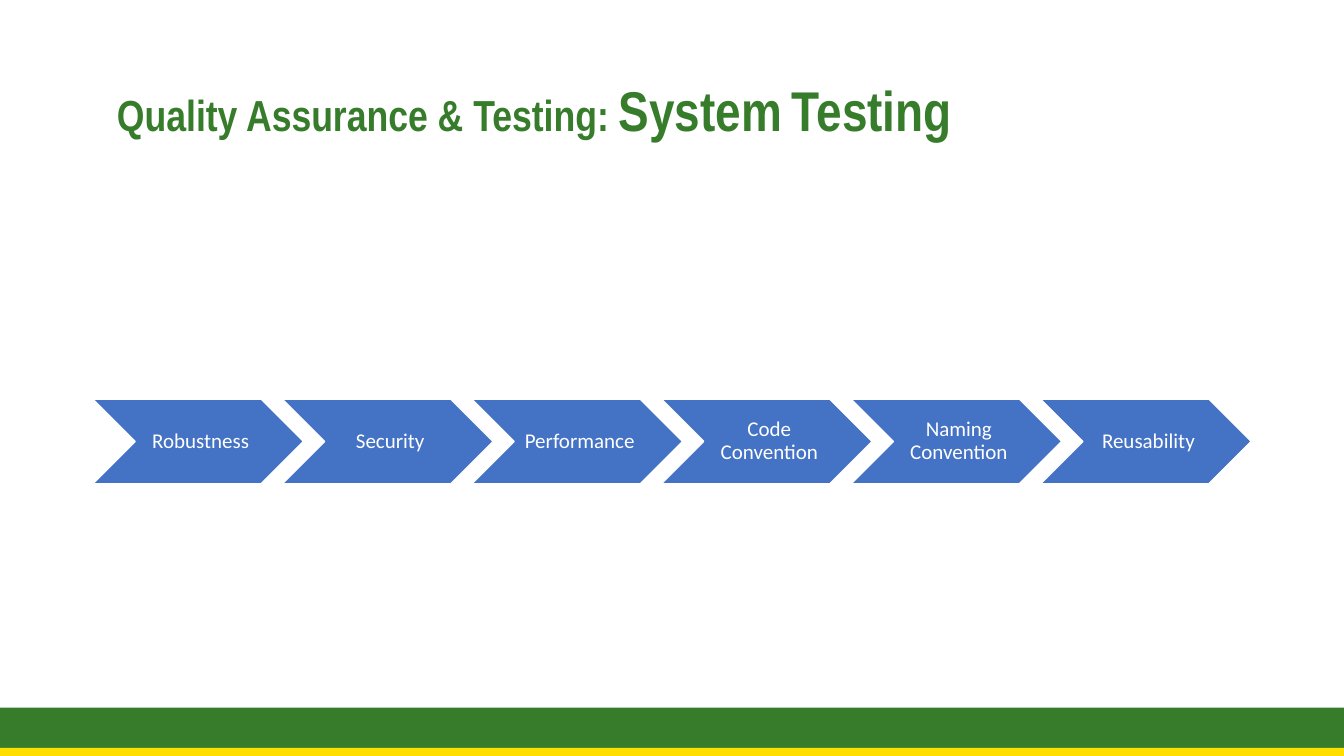
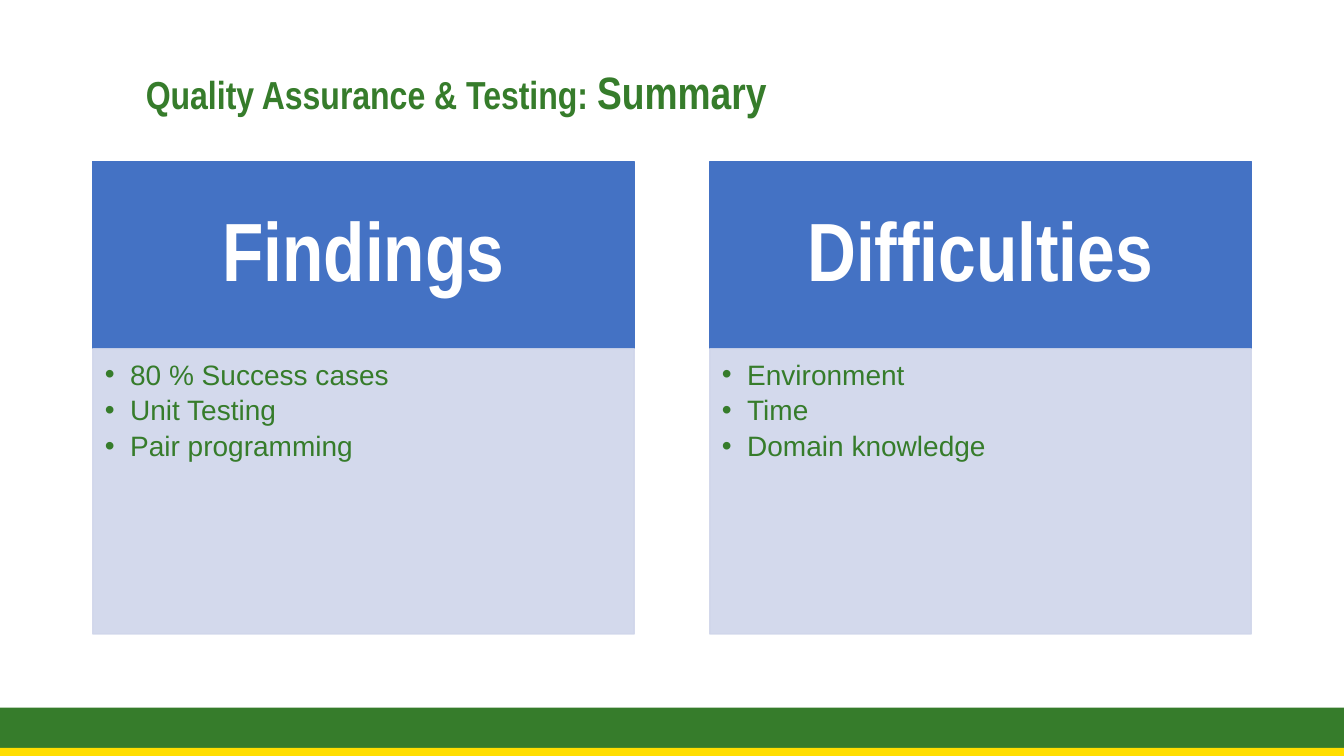
"""Build two quality assurance slides: system testing steps and a summary."""
import pptx
import pptx.dml.color
import pptx.enum.shapes
import pptx.enum.text
import pptx.oxml.xmlchemy
import pptx.util
from lxml import etree
from pptx.util import Inches, Pt

GREEN = pptx.dml.color.RGBColor(0x36, 0x7C, 0x2B)
YELLOW = pptx.dml.color.RGBColor(0xFF, 0xDE, 0x00)
BLUE = pptx.dml.color.RGBColor(0x44, 0x72, 0xC4)
PALE_BLUE = pptx.dml.color.RGBColor(0xCF, 0xD5, 0xEA)
WHITE = pptx.dml.color.RGBColor(0xFF, 0xFF, 0xFF)

MSO_SHAPE = pptx.enum.shapes.MSO_SHAPE
PP_ALIGN = pptx.enum.text.PP_ALIGN
MSO_ANCHOR = pptx.enum.text.MSO_ANCHOR
qn = pptx.oxml.ns.qn

SLIDE_WIDTH = 13.33
LEFT = 0.92
BANDS = [(7.02, 0.4, GREEN), (7.42, 0.08, YELLOW)]
STEPS = ["Robustness", "Security", "Performance", "Code Convention",
         "Naming Convention", "Reusability"]
STEP_PITCH = 1.88
COLUMNS = [
    ("Findings", ["80 % Success cases", "Unit Testing", "Pair programming"]),
    ("Difficulties", ["Environment", "Time", "Domain knowledge"]),
]
COLUMN_PITCH = 6.12
TITLES = [
    ("Title Only", (LEFT, 0.4, 11.5, 1.45), 0.24, PP_ALIGN.LEFT,
     [("Quality Assurance & Testing: ", 31), ("System", 40), (" ", 31), ("Testing", 40)]),
    ("Comparison", (LEFT, 0.49, 7.21, 0.91), 0.1, PP_ALIGN.CENTER,
     [("Quality Assurance & Testing: ", 27.9), ("Summary", 32.4)]),
]


def place(shape, box, margins, anchor):
    """Set the position, insets and anchor of a shape."""
    shape.left, shape.top, shape.width, shape.height = map(Inches, box)
    frame = shape.text_frame
    frame.word_wrap = True
    frame.auto_size = pptx.enum.text.MSO_AUTO_SIZE.NONE
    frame.vertical_anchor = anchor
    frame.margin_left, frame.margin_top, frame.margin_right, frame.margin_bottom = map(Inches, margins)


def style(paragraph, font_name, size, color, bold, alignment):
    """Set the spacing, alignment and font of a paragraph."""
    paragraph.alignment = alignment
    paragraph.line_spacing = 0.9
    paragraph.space_before = Pt(0)
    font = paragraph.font
    font.name, font.bold = font_name, bold
    font.color.rgb = color
    if size:
        font.size = Pt(size)


presentation = pptx.Presentation()
presentation.slide_width = Inches(SLIDE_WIDTH)
presentation.slide_height = Inches(7.5)

for layout_name, box, margin_left, alignment, runs in TITLES:
    slide = presentation.slides.add_slide(presentation.slide_layouts.get_by_name(layout_name))
    title = slide.shapes.title
    place(title, box, (margin_left, 0.05, 0.1, 0.05), MSO_ANCHOR.MIDDLE)
    paragraph = title.text_frame.paragraphs[0]
    style(paragraph, "Arial Narrow", None, GREEN, True, alignment)
    for text, size in runs:
        run = paragraph.add_run()
        run.text = text
        run.font.size = Pt(size)
    for top, height, color in BANDS:
        band = slide.shapes.add_shape(
            MSO_SHAPE.RECTANGLE, 0, Inches(top), presentation.slide_width, Inches(height))
        band.shadow.inherit = False
        band.fill.solid()
        band.fill.fore_color.rgb = color
        band.line.fill.background()

testing_slide, summary_slide = presentation.slides

for index, step in enumerate(STEPS):
    box = (LEFT + index * STEP_PITCH, 3.96, 2.09, 0.84)
    chevron = testing_slide.shapes.add_shape(MSO_SHAPE.CHEVRON, *map(Inches, box))
    chevron.shadow.inherit = False
    chevron.fill.solid()
    chevron.fill.fore_color.rgb = BLUE
    chevron.line.color.rgb = WHITE
    chevron.line.width = Pt(1)
    place(chevron, box, (0.07, 0.02, 0.02, 0.02), MSO_ANCHOR.MIDDLE)
    chevron.text_frame.text = step
    style(chevron.text_frame.paragraphs[0], "Calibri", 15, WHITE, False, PP_ALIGN.CENTER)

for index, (heading_text, items) in enumerate(COLUMNS):
    left = LEFT + index * COLUMN_PITCH
    heading = summary_slide.placeholders[1 + 2 * index]
    body = summary_slide.placeholders[2 + 2 * index]
    place(heading, (left, 1.6, 5.37, 1.86), (0.46, 0.26, 0.46, 0.26), MSO_ANCHOR.MIDDLE)
    place(body, (left, 3.46, 5.37, 2.83), (0.12, 0.12, 0.16, 0.17), MSO_ANCHOR.TOP)
    for panel, color in [(heading, BLUE), (body, PALE_BLUE)]:
        panel.fill.solid()
        panel.fill.fore_color.rgb = color
        panel.line.color.rgb = color
        panel.line.width = Pt(1)
    for color_element in body.element.spPr.iter(qn("a:srgbClr")):
        etree.SubElement(color_element, qn("a:alpha"), val="90000")

    heading.text_frame.text = heading_text
    style(heading.text_frame.paragraphs[0], "Arial Narrow", 59, WHITE, True, PP_ALIGN.CENTER)
    body.text_frame.text = "\n".join(items)
    for paragraph in body.text_frame.paragraphs:
        properties = paragraph._p.get_or_add_pPr()
        properties.set("marL", str(Inches(0.25)))
        properties.set("indent", str(-Inches(0.25)))
        etree.SubElement(properties, qn("a:buChar"), char="•")
        style(paragraph, "Arial", 20, GREEN, False, PP_ALIGN.LEFT)
        paragraph.space_after = Pt(4)

presentation.save("out.pptx")
